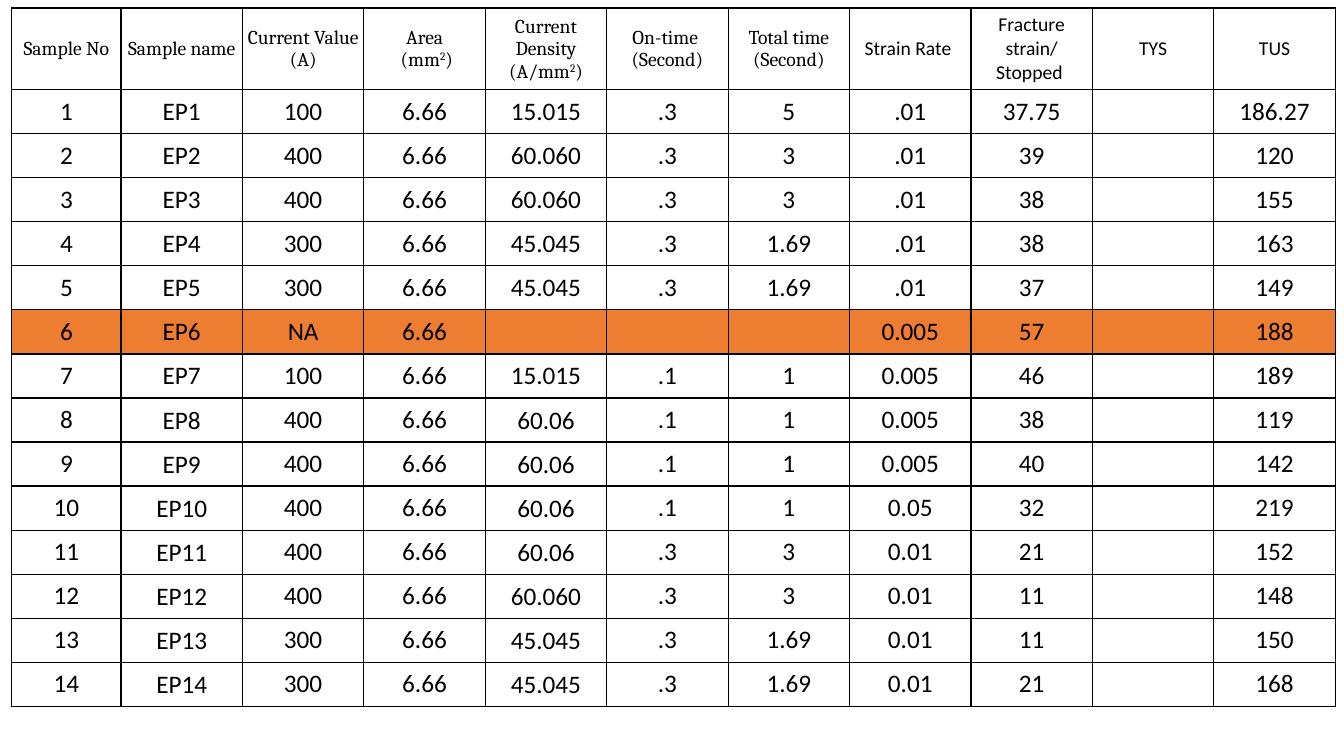
import pptx
import pptx.dml.color
import pptx.enum.text
import pptx.oxml
import pptx.oxml.ns
import pptx.util

Cm = pptx.util.Cm
Pt = pptx.util.Pt
Color = pptx.dml.color.RGBColor.from_string

theme = {
    "ink": "000000",
    "mark": "ED7D31",
    "serif": "Cambria",
    "sans": "Calibri",
    "head": Pt(14),
    "body": Pt(18),
    "rule": Pt(1),
}
tight = {
    "margin_left": Cm(0.02),
    "margin_right": Cm(0.02),
    "margin_top": Cm(0.02),
    "margin_bottom": Cm(0),
}
middle = {"vertical_anchor": pptx.enum.text.MSO_ANCHOR.MIDDLE}
plain = {"first_row": False, "horz_banding": False}

heads = [
    "Sample No", "Sample name", "Current Value (A)", "Area\n (mm^2^)",
    "Current Density (A/mm^2^)", "On-time \n(Second)", "Total time (Second)",
    "Strain Rate ", "Fracture strain/\nStopped ", "TYS", "TUS",
]
tests = [
    "100|15.015|.3|5|.01|37.75|186.27",
    "400|60.060|.3|3|.01|39|120",
    "400|60.060|.3|3|.01|38|155",
    "300|45.045|.3|1.69|.01|38|163",
    "300|45.045|.3|1.69|.01|37|149",
    "NA||||0.005|57|188",
    "100|15.015|.1|1|0.005|46|189",
    "400|60.06|.1|1|0.005|38|119",
    "400|60.06|.1|1|0.005|40|142",
    "400|60.06|.1|1|0.05|32|219",
    "400|60.06|.3|3|0.01|21|152",
    "400|60.060|.3|3|0.01|11|148",
    "300|45.045|.3|1.69|0.01|11|150",
    "300|45.045|.3|1.69|0.01|21|168",
]
rows = [heads]
for num, test in enumerate(tests, 1):
    amps, dense, pulse, total, rate, strain, tus = test.split("|")
    rows.append([str(num), f"EP{num}", amps, "6.66", dense, pulse, total,
                 rate, strain, "", tus])
marked = 6


def apply(item, style):
    for key, value in style.items():
        setattr(item, key, value)


def border(cell):
    props = cell._tc.get_or_add_tcPr()
    space = pptx.oxml.ns.nsdecls("a")
    for spot, side in enumerate(("lnL", "lnR", "lnT", "lnB")):
        props.insert(spot, pptx.oxml.parse_xml(
            f'<a:{side} {space} w="{theme["rule"]}"><a:solidFill>'
            f'<a:srgbClr val="{theme["ink"]}"/></a:solidFill></a:{side}>'))


deck = pptx.Presentation()
apply(deck, {"slide_width": Cm(33.87), "slide_height": Cm(19.05)})
slide = deck.slides.add_slide(deck.slide_layouts[6])

frame = slide.shapes.add_table(len(rows), len(heads), Cm(0.3), Cm(0.2),
                               Cm(33.33), Cm(17.58))
table = frame.table
apply(table, plain)
for spot, column in enumerate(table.columns):
    column.width = Cm(3.06 if spot else 2.75)
for row in table.rows:
    row.height = Cm(1.11)

for down, row in enumerate(rows):
    for over, words in enumerate(row):
        cell = table.cell(down, over)
        apply(cell, middle)
        if over < 7 if down == 0 else over in (1, 4):
            apply(cell, tight)
        if down == marked:
            cell.fill.solid()
            cell.fill.fore_color.rgb = Color(theme["mark"])
        else:
            cell.fill.background()
        border(cell)
        font = {
            "size": theme["body" if down else "head"],
            "name": theme["serif" if down == 0 and over < 7 else "sans"],
        }
        for spot, line in enumerate(words.split("\n")):
            text = cell.text_frame
            para = text.add_paragraph() if spot else text.paragraphs[0]
            para.alignment = pptx.enum.text.PP_ALIGN.CENTER
            for turn, part in enumerate(line.split("^")):
                if not part:
                    continue
                run = para.add_run()
                run.text = part
                apply(run.font, font)
                run.font.color.rgb = Color(theme["ink"])
                if turn % 2:
                    run._r.get_or_add_rPr().set("baseline", "30000")

deck.save("out.pptx")
